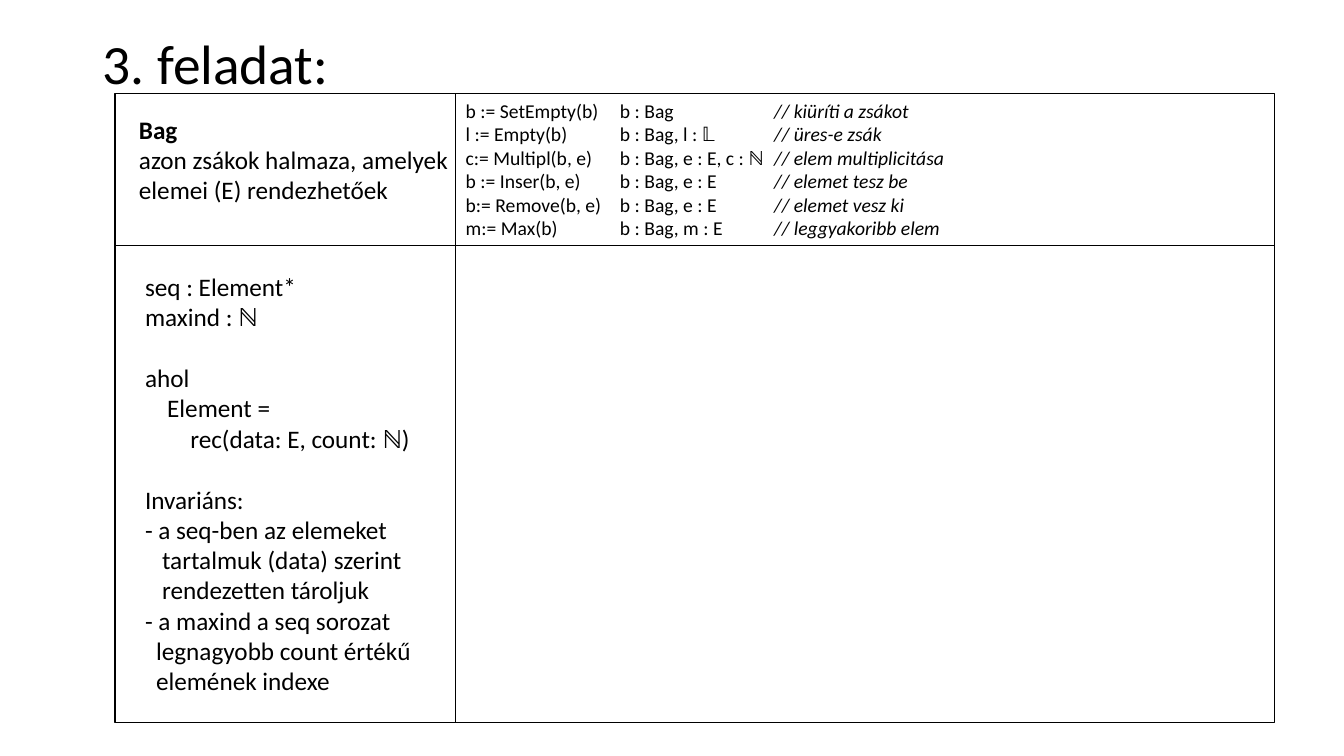
from dataclasses import dataclass

from lxml import etree
from pptx import Presentation
from pptx.dml.color import RGBColor
from pptx.enum.shapes import MSO_CONNECTOR, MSO_SHAPE
from pptx.enum.text import MSO_ANCHOR, MSO_AUTO_SIZE, PP_ALIGN
from pptx.oxml.ns import qn
from pptx.util import Inches, Pt

LEFT = PP_ALIGN.LEFT
MIDDLE, TOP = MSO_ANCHOR.MIDDLE, MSO_ANCHOR.TOP
NO_FIT = MSO_AUTO_SIZE.NONE
RECT, STRAIGHT = MSO_SHAPE.RECTANGLE, MSO_CONNECTOR.STRAIGHT
TITLE_ONLY = 5


@dataclass(frozen=True)
class Theme:
    """Fonts, colours and sizes of the slide."""
    font: str = "Calibri"
    ink: RGBColor = RGBColor(0, 0, 0)
    paper: RGBColor = RGBColor(255, 255, 255)
    title: float = 39.6
    body: float = 18
    small: float = 14
    frame: float = 1
    rule: float = 0.5


class SlideBuilder:
    """Adds styled elements to one slide."""

    def __init__(self, prs, theme):
        """Start a title-only slide."""
        self.theme = theme
        self.s = prs.slides.add_slide(prs.slide_layouts[TITLE_ONLY])

    def style(self, p, size, **extra):
        """Apply the theme font to every run of a paragraph."""
        for r in p.runs:
            for name, value in {"name": self.theme.font, "size": Pt(size), **extra}.items():
                setattr(r.font, name, value)
            r.font.color.rgb = self.theme.ink

    def frame(self, tf, anchor):
        """Set the wrapping and anchor of a text frame."""
        values = {"word_wrap": True, "auto_size": NO_FIT, "vertical_anchor": anchor}
        for name, value in values.items():
            setattr(tf, name, value)

    def title(self, text, box):
        """Place and fill the title placeholder."""
        sp = self.s.shapes.title
        for name, value in zip(("left", "top", "width", "height"), box):
            setattr(sp, name, Inches(value))
        self.frame(sp.text_frame, MIDDLE)
        p = sp.text_frame.paragraphs[0]
        p.text, p.alignment, p.line_spacing = text, LEFT, 0.9
        self.style(p, self.theme.title)

    def rect(self, box):
        """Add an outlined panel."""
        sp = self.s.shapes.add_shape(RECT, *map(Inches, box))
        sp.shadow.inherit = False
        sp.fill.solid()
        sp.fill.fore_color.rgb = self.theme.paper
        sp.line.color.rgb = self.theme.ink
        sp.line.width = Pt(self.theme.frame)

    def line(self, *ends):
        """Add a thin dividing line."""
        sp = self.s.shapes.add_connector(STRAIGHT, *map(Inches, ends))
        sp.line.color.rgb = self.theme.ink
        sp.line.width = Pt(self.theme.rule)
        etree.SubElement(sp._element.spPr, qn("a:effectLst"))

    def paragraphs(self, box, count):
        """Add a text box and return its empty paragraphs."""
        tf = self.s.shapes.add_textbox(*map(Inches, box)).text_frame
        self.frame(tf, TOP)
        return [tf.paragraphs[0]] + [tf.add_paragraph() for _ in range(count - 1)]

    def text(self, box, rows):
        """Add body paragraphs given as text and layout options."""
        for p, (text, opts) in zip(self.paragraphs(box, len(rows)), rows):
            p.text = text
            p.space_before = Pt(opts.get("gap", 0))
            margin, hang = opts.get("margin", 0), opts.get("hang", 0)
            pPr = p._p.get_or_add_pPr()
            pPr.set("marL", str(Inches(margin + hang)))
            pPr.set("indent", str(Inches(-hang)))
            self.style(p, self.theme.body, bold=opts.get("bold", False))

    def operations(self, box, rows, stops):
        """Add tabbed operation rows with italic comments."""
        for p, (call, types, comment) in zip(self.paragraphs(box, len(rows)), rows):
            p.add_run().text = f"{call}\t{types}\t"
            self.style(p, self.theme.small)
            r = p.add_run()
            r.text = f"// {comment}"
            self.style(p, self.theme.small)
            r.font.italic = True
            tabs = etree.SubElement(p._p.get_or_add_pPr(), qn("a:tabLst"))
            for stop in stops:
                etree.SubElement(tabs, qn("a:tab"), pos=str(Inches(stop)), algn="l")


OPERATIONS = [
    ("b := SetEmpty(b)", "b : Bag", "kiüríti a zsákot"),
    ("l := Empty(b)", "b : Bag, l : 𝕃", "üres-e zsák"),
    ("c:= Multipl(b, e)", "b : Bag, e : E, c : ℕ", "elem multiplicitása"),
    ("b := Inser(b, e)", "b : Bag, e : E", "elemet tesz be"),
    ("b:= Remove(b, e)", "b : Bag, e : E", "elemet vesz ki"),
    ("m:= Max(b)", "b : Bag, m : E", "leggyakoribb elem"),
]
TYPE_VALUES = [
    ("Bag", {"bold": True}),
    ("azon zsákok halmaza, amelyek elemei (E) rendezhetőek", {}),
]
REPRESENTATION = [
    ("seq : Element*", {}),
    ("maxind : ℕ", {}),
    ("ahol", {"gap": 22}),
    ("Element =", {"margin": 0.22}),
    ("rec(data: E, count: ℕ)", {"margin": 0.45}),
    ("Invariáns:", {"gap": 22}),
    ("- a seq-ben az elemeket\vtartalmuk (data) szerint\vrendezetten tároljuk", {"hang": 0.17}),
    ("- a maxind a seq sorozat\vlegnagyobb count értékű\velemének indexe", {"hang": 0.11}),
]


def main():
    """Build and save the slide."""
    prs = Presentation()
    prs.slide_width, prs.slide_height = Inches(13.33), Inches(7.5)
    s = SlideBuilder(prs, Theme())
    left, top, width, height = 1.14, 0.93, 11.5, 6.24
    column, row = 4.52, 2.43
    s.title("3. feladat:", (0.92, 0.36, 11.5, 0.6))
    s.rect((left, top, width, height))
    s.line(column, top, column, top + height)
    s.line(left, row, left + width, row)
    s.text((1.28, 1.08, 3.52, 1.01), TYPE_VALUES)
    s.text((1.34, 2.64, 3.03, 4.34), REPRESENTATION)
    s.operations((column, top, 6.58, 1.51), OPERATIONS, (1.53, 3.06))
    prs.save("out.pptx")


if __name__ == "__main__":
    main()
